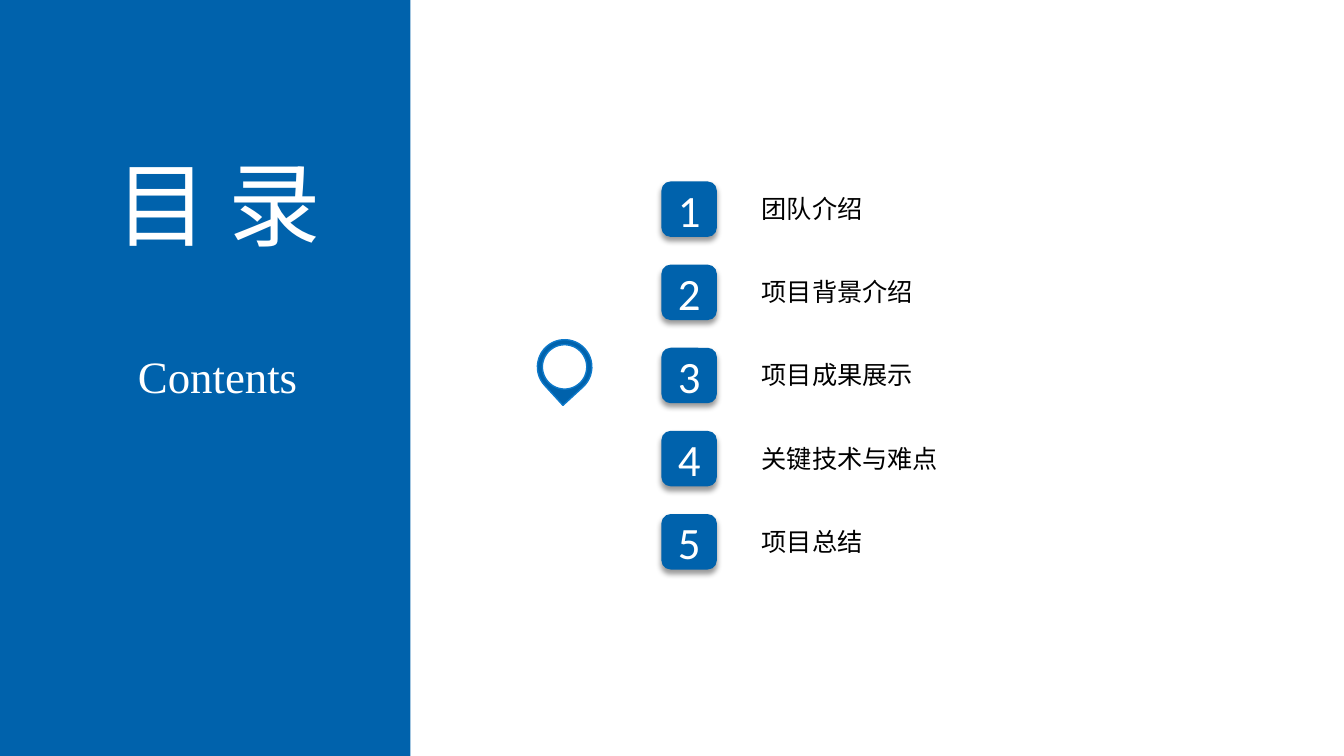
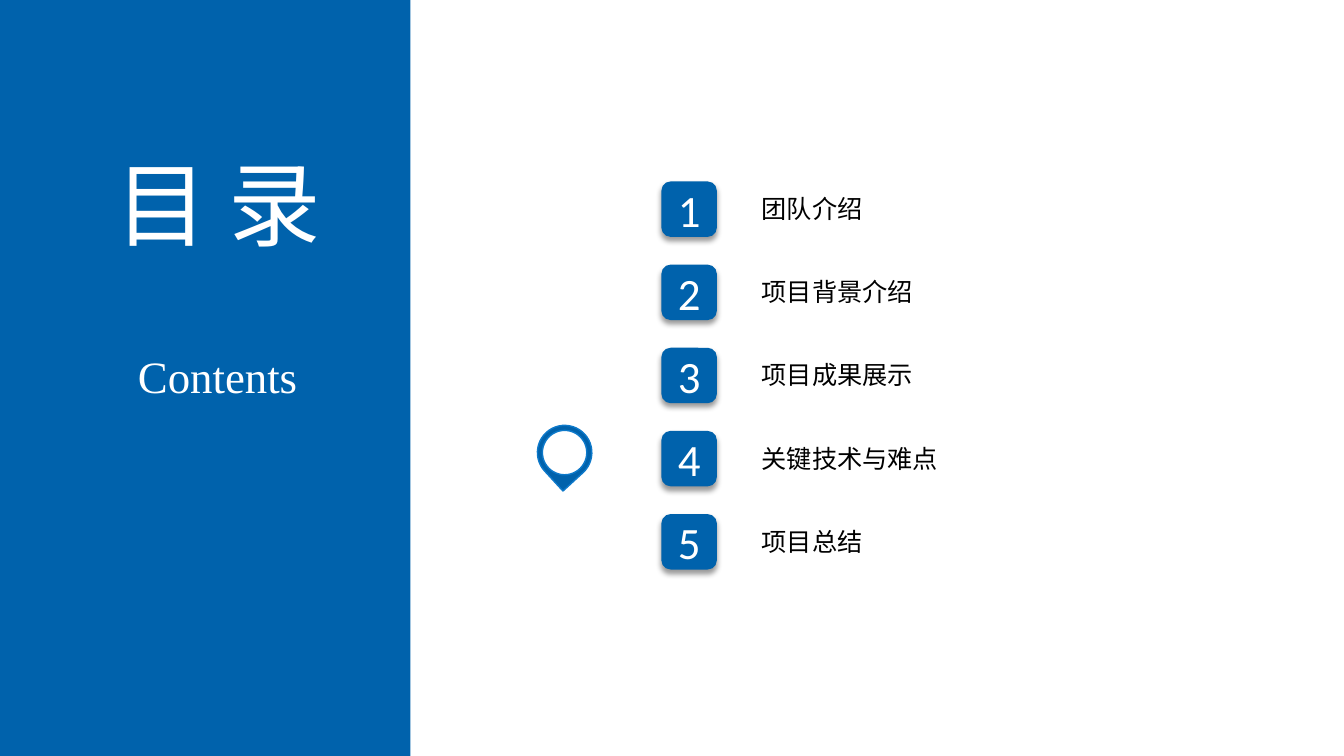
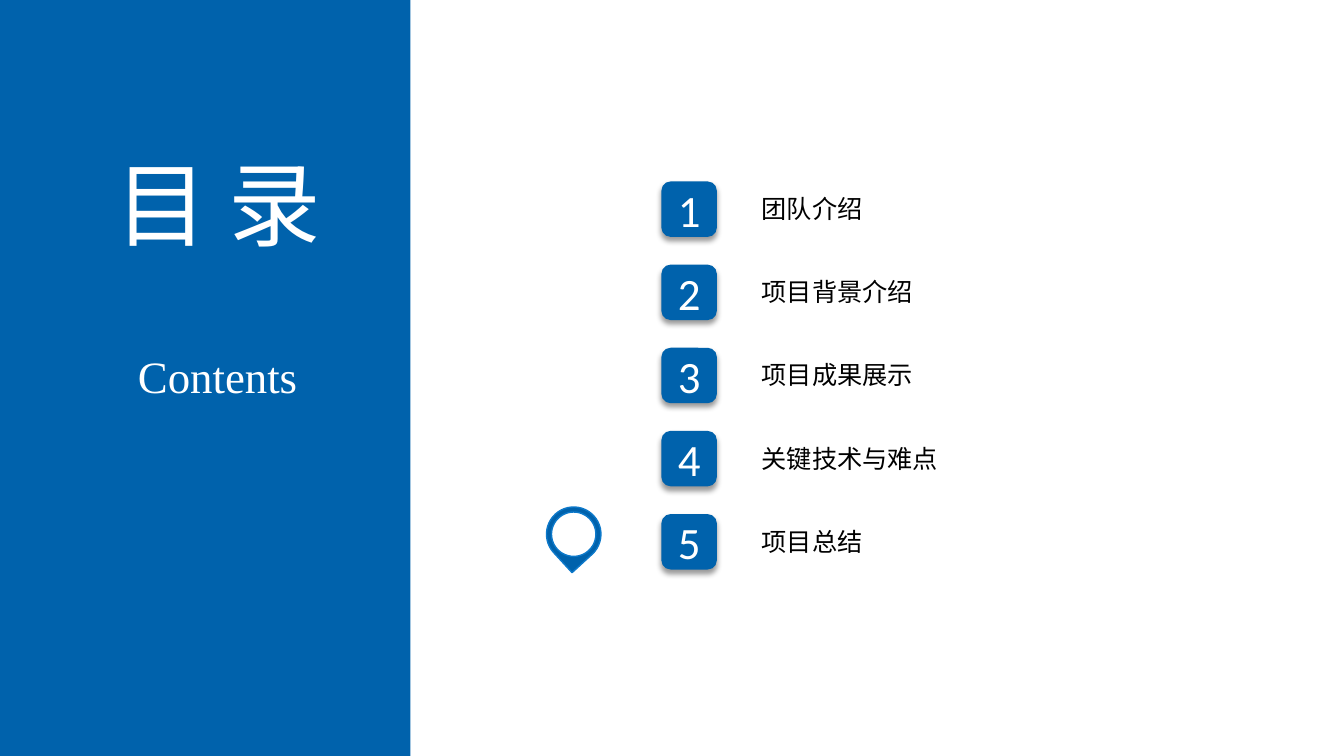
import pptx
import pptx.dml.color
import pptx.enum.shapes
import pptx.enum.text
import pptx.oxml
import pptx.oxml.ns
import pptx.util

Inches = pptx.util.Inches
Pt = pptx.util.Pt
RGBColor = pptx.dml.color.RGBColor
SHAPE = pptx.enum.shapes.MSO_SHAPE

BLUE = RGBColor(0x00, 0x62, 0xAC)
PIN_EDGE = RGBColor(0x0D, 0x79, 0xCA)
WHITE = RGBColor(0xFF, 0xFF, 0xFF)
BLACK = RGBColor(0x00, 0x00, 0x00)
CHINESE_FONT = "Noto Sans CJK SC"

CHAPTERS = ["团队介绍", "项目背景介绍", "项目成果展示", "关键技术与难点", "项目总结"]
FIRST_TILE_TOP = 1.8
TILE_PITCH = 0.825
TILE_SIZE = 0.55
PIN_SIZE = 0.54
PIN_HOLE = 0.44
PIN_POSITIONS = [(5.33, 3.37), (5.33, 4.22), (5.42, 5.03)]

TILE_SHADOW = (
    f'<a:outerShdw {pptx.oxml.ns.nsdecls("a")} blurRad="{Pt(4)}" dist="{Pt(3)}" '
    'dir="5400000" rotWithShape="0"><a:srgbClr val="000000">'
    '<a:alpha val="40000"/></a:srgbClr></a:outerShdw>'
)


def add_block(shapes, kind, left, top, width, height, fill, edge=None):
    """Add a flat filled shape, outlined only when an edge colour is given."""
    block = shapes.add_shape(kind, Inches(left), Inches(top), Inches(width), Inches(height))
    block.shadow.inherit = False
    block.fill.solid()
    block.fill.fore_color.rgb = fill
    if edge is None:
        block.line.fill.background()
    else:
        block.line.color.rgb = edge
        block.line.width = Pt(1)
    return block


def write(box, text, size, font, color):
    """Put one centred, unwrapped line of text in a box."""
    box.text_frame.word_wrap = False
    para = box.text_frame.paragraphs[0]
    para.text = text
    para.alignment = pptx.enum.text.PP_ALIGN.CENTER
    span = para.runs[0]
    span.font.size = Pt(size)
    span.font.name = font
    span.font.color.rgb = color
    east_asian = pptx.oxml.parse_xml(f'<a:ea {pptx.oxml.ns.nsdecls("a")} typeface="{font}"/>')
    span.font._element.append(east_asian)


deck = pptx.Presentation()
deck.slide_width = Inches(13.33)
deck.slide_height = Inches(7.5)

for pin_left, pin_top in PIN_POSITIONS:
    page = deck.slides.add_slide(deck.slide_layouts[6])

    for index, chapter in enumerate(CHAPTERS):
        tile_top = FIRST_TILE_TOP + index * TILE_PITCH
        tile = add_block(page.shapes, SHAPE.ROUNDED_RECTANGLE, 6.56, tile_top,
                         TILE_SIZE, TILE_SIZE, BLUE)
        effects = tile._element.spPr.find(pptx.oxml.ns.qn("a:effectLst"))
        effects.append(pptx.oxml.parse_xml(TILE_SHADOW))
        tile.text_frame.vertical_anchor = pptx.enum.text.MSO_ANCHOR.MIDDLE
        write(tile, str(index + 1), 32, "Calibri", WHITE)

        label_width = 0.21 + 0.25 * len(chapter)
        label = page.shapes.add_textbox(Inches(7.45), Inches(tile_top + 0.07),
                                        Inches(label_width), Inches(0.4))
        write(label, chapter, 18, CHINESE_FONT, BLACK)

    add_block(page.shapes, SHAPE.RECTANGLE, 0, 0, 4.07, 7.5, BLUE)
    title = page.shapes.add_textbox(Inches(0.9), Inches(1.41), Inches(2.52), Inches(1.21))
    write(title, "目 录", 66, CHINESE_FONT, WHITE)
    subtitle = page.shapes.add_textbox(Inches(1.26), Inches(3.41), Inches(1.8), Inches(0.64))
    write(subtitle, "Contents", 32, "Times New Roman", WHITE)

    pin = page.shapes.add_group_shape()
    drop = add_block(pin.shapes, SHAPE.TEAR, pin_left, pin_top,
                     PIN_SIZE, PIN_SIZE, BLUE, PIN_EDGE)
    drop.rotation = 137.5
    inset = (PIN_SIZE - PIN_HOLE) / 2
    add_block(pin.shapes, SHAPE.OVAL, pin_left + inset, pin_top + inset,
              PIN_HOLE, PIN_HOLE, WHITE, PIN_EDGE)

deck.save("out.pptx")
